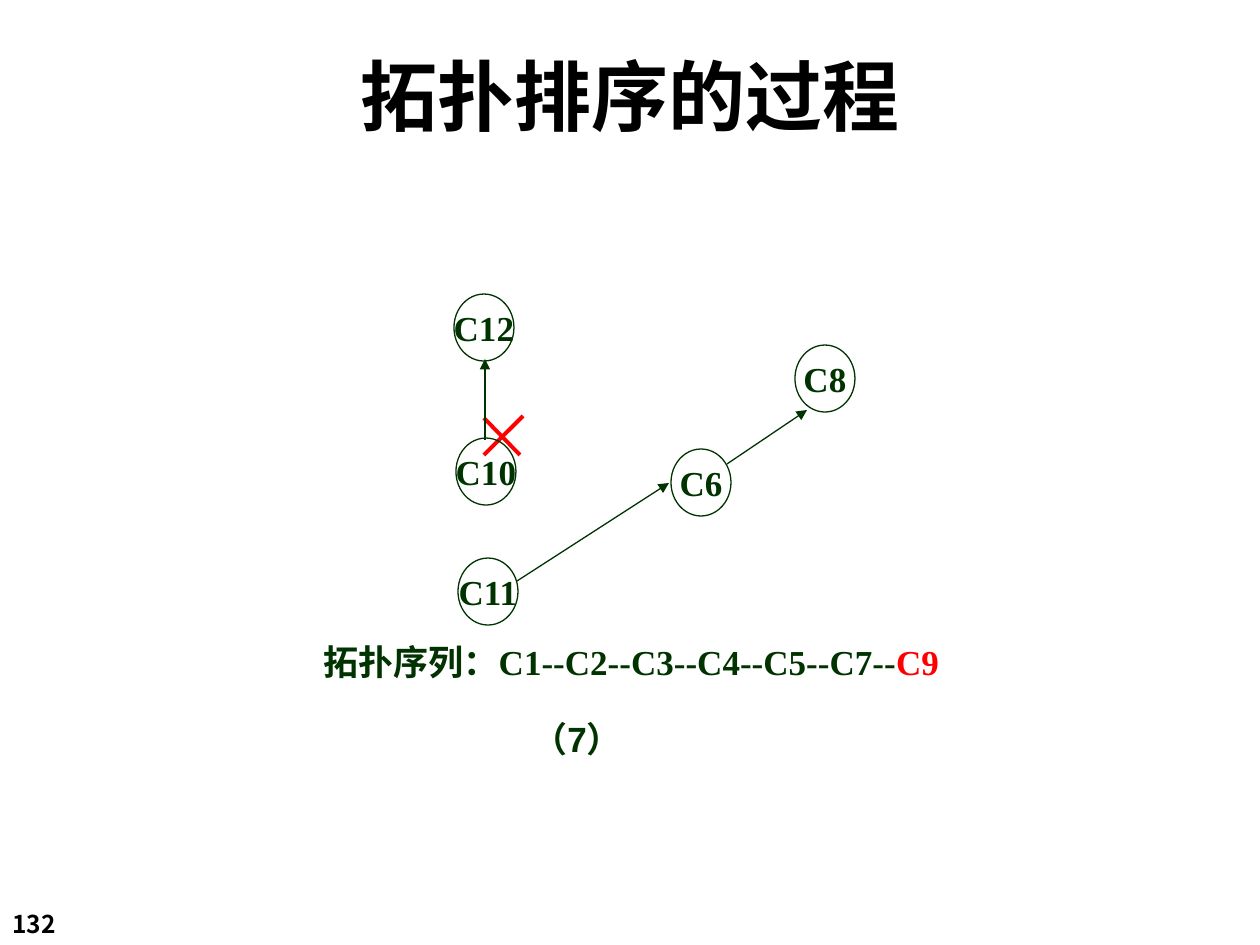
from lxml import etree
from pptx import Presentation
from pptx import util as u
from pptx.dml.color import RGBColor
from pptx.enum import shapes, text
from pptx.oxml.ns import qn

PX = u.Inches(1) / 126
COLORS = {"black": "000000", "green": "003300", "red": "FF0000"}
CJK = "Noto Sans CJK SC"
NODE_W, NODE_H = 60, 67
NODES = {"C6": (360, 155), "C8": (484, 51), "C10": (145, 144), "C11": (147, 264), "C12": (143, 0)}
EDGES = [(174, 146, 174, 65), (206, 287, 358, 189), (416, 170, 496, 116)]


def emu(*lengths):
    return [round(n * PX) for n in lengths]


def rgb(color):
    return RGBColor.from_string(COLORS[color])


def write(sp, runs, font, size, frame=None, para=None):
    tf = sp.text_frame
    p = tf.paragraphs[0]
    for target, values in ((tf, frame or {}), (p, para or {})):
        for name, value in values.items():
            setattr(target, name, value)
    for words, color in runs:
        r = p.add_run()
        r.text = words
        for name, value in {"name": font, "size": u.Pt(size), "bold": True}.items():
            setattr(r.font, name, value)
        r.font.color.rgb = rgb(color)
        ea = etree.SubElement(r.font._element, qn("a:ea"))
        ea.set("typeface", CJK)


def add_text(s, box, runs, font, size, wrap=True, para=None):
    sp = s.shapes.add_textbox(*emu(*box))
    write(sp, runs, font, size, {"word_wrap": wrap}, para)


def add_line(s, ends, color, width, arrow=False):
    line = s.shapes.add_connector(shapes.MSO_CONNECTOR.STRAIGHT, *emu(*ends))
    line.line.color.rgb = rgb(color)
    line.line.width = u.Pt(width)
    if arrow:
        tail = etree.SubElement(line.line._get_or_add_ln(), qn("a:tailEnd"))
        tail.set("type", "triangle")
    etree.SubElement(line._element.spPr, qn("a:effectLst"))


def add_node(s, x, y, label):
    sp = s.shapes.add_shape(shapes.MSO_SHAPE.OVAL, *emu(x, y, NODE_W, NODE_H))
    sp.shadow.inherit = False
    sp.fill.background()
    sp.line.color.rgb = rgb("green")
    sp.line.width = u.Pt(0.75)
    write(sp, [(label, "green")], "Times New Roman", 20,
          {"word_wrap": False, "vertical_anchor": text.MSO_ANCHOR.MIDDLE},
          {"alignment": text.PP_ALIGN.CENTER})


def add_title(s, box):
    add_text(s, box, [("拓扑排序的过程", "black")], CJK, 44,
             para={"alignment": text.PP_ALIGN.CENTER, "line_spacing": 0.9})


def add_page_number(s, box):
    add_text(s, box, [("132", "black")], CJK, 14)


def add_cross(s, box):
    x, y, w, h = box
    add_line(s, (x, y + 2, x + w - 3, y + h), "red", 2.25)
    add_line(s, (x + w, y, x, y + h), "red", 2.25)


def add_graph(s, box):
    x, y, w, h = box
    for label, (dx, dy) in NODES.items():
        add_node(s, x + dx, y + dy, label)
    for x1, y1, x2, y2 in EDGES:
        add_line(s, (x + x1, y + y1, x + x2, y + y2), "green", 0.75, arrow=True)
    add_text(s, (x, y + 340, w, 55),
             [("拓扑序列：C1--C2--C3--C4--C5--C7--", "green"), ("C9", "red")],
             "Times New Roman", 20, wrap=False)
    add_text(s, (x + 209, y + h - 55, 139, 55), [("（7）", "green")], "Arial", 20)


def main():
    prs = Presentation()
    prs.slide_width, prs.slide_height = emu(1260, 945)
    s = prs.slides.add_slide(prs.slide_layouts[6])
    add_page_number(s, (0, 903, 105, 43))
    add_cross(s, (484, 416, 39, 39))
    add_graph(s, (311, 294, 649, 472))
    add_title(s, (53, 53, 1155, 126))
    prs.save("out.pptx")


if __name__ == "__main__":
    main()
